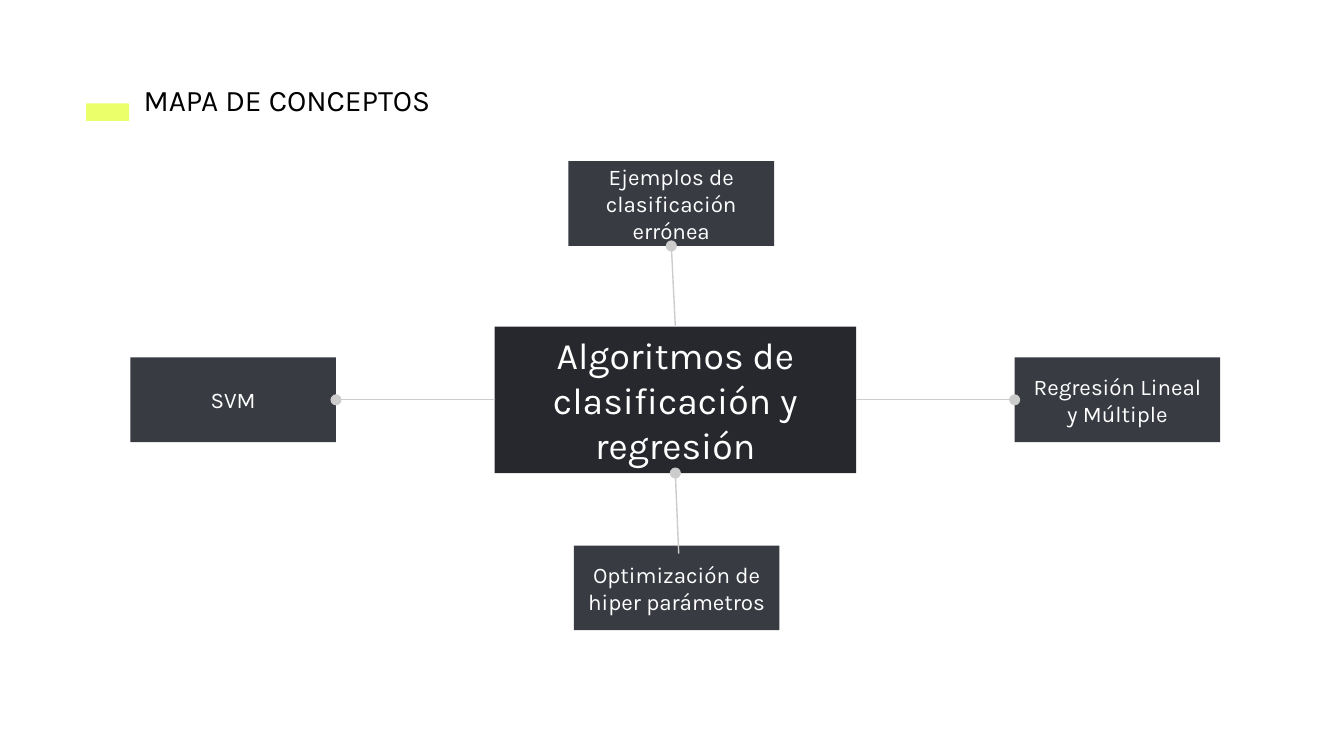
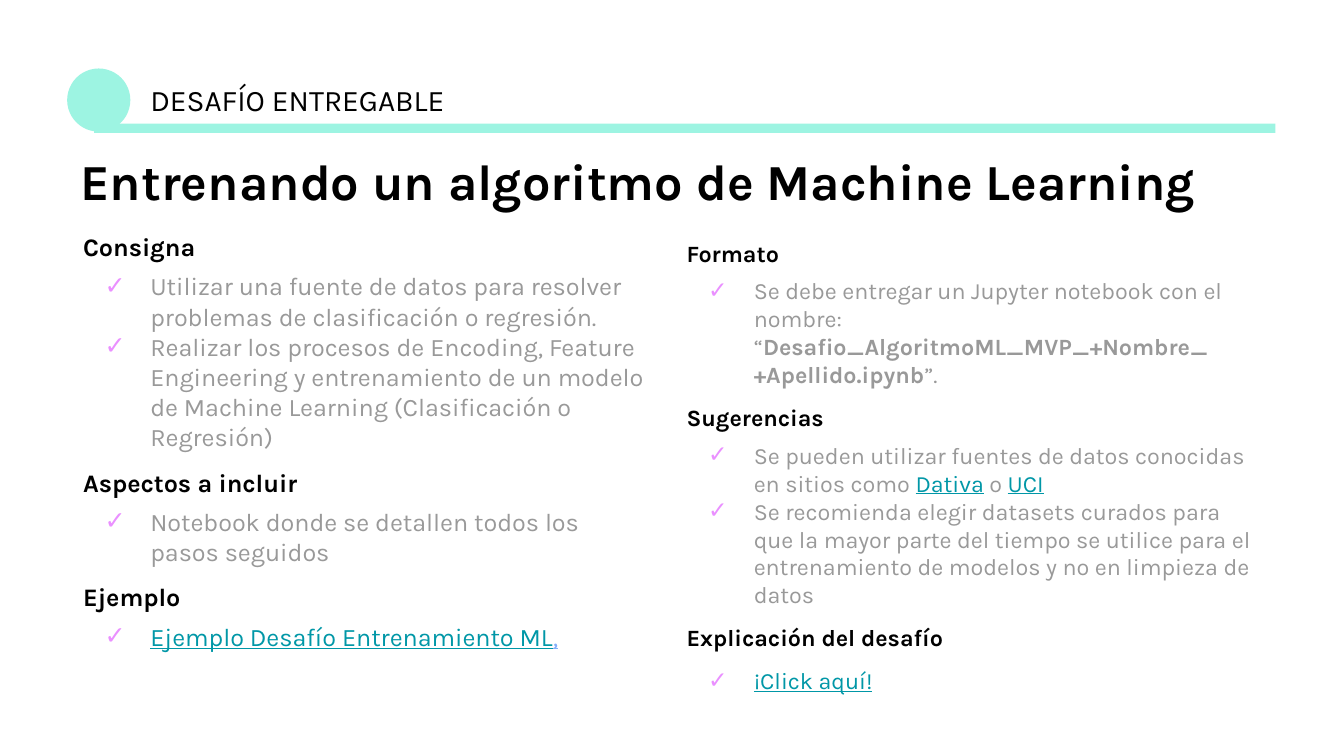
from lxml import etree
from pptx import Presentation
from pptx.dml.color import RGBColor
from pptx.enum.shapes import MSO_CONNECTOR, MSO_SHAPE
from pptx.enum.text import MSO_ANCHOR, MSO_AUTO_SIZE, PP_ALIGN
from pptx.oxml.ns import qn
from pptx.util import Inches, Pt

RECT, OVAL = MSO_SHAPE.RECTANGLE, MSO_SHAPE.OVAL
LINE, ELBOW = MSO_CONNECTOR.STRAIGHT, MSO_CONNECTOR.ELBOW
MIDDLE, CENTER = MSO_ANCHOR.MIDDLE, PP_ALIGN.CENTER
GROW = MSO_AUTO_SIZE.SHAPE_TO_FIT_TEXT
TOP, LEFT, BOTTOM, RIGHT = range(4)

BLACK = RGBColor(0x00, 0x00, 0x00)
WHITE = RGBColor(0xFF, 0xFF, 0xFF)
GRAY = RGBColor(0x99, 0x99, 0x99)
SILVER = RGBColor(0xCC, 0xCC, 0xCC)
DARK = RGBColor(0x27, 0x28, 0x2D)
SLATE = RGBColor(0x39, 0x3B, 0x43)
LIME = RGBColor(0xEA, 0xFF, 0x6A)
MINT = RGBColor(0x9D, 0xF4, 0xE2)
TEAL = RGBColor(0x00, 0x97, 0xA7)
BLUE = RGBColor(0x83, 0xAE, 0xFB)
PINK = RGBColor(0xEA, 0x90, 0xFF)
FONT = "Karla"
WIDE = Inches(10)
HIGH = WIDE * 9 // 16

# Concept map: name -> text, left, top
HUB = ("Algoritmos de clasificación y regresión", 3.68, 2.43)
NODES = {
    "svm": ("SVM", 0.97, 2.66),
    "reg": ("Regresión Lineal y Múltiple", 7.55, 2.66),
    "err": ("Ejemplos de clasificación errónea", 4.23, 1.2),
    "opt": ("Optimización de hiper parámetros", 4.27, 4.06),
}
HUB_SIZE, NODE_SIZE = (2.69, 1.09), (1.53, 0.63)
# kind, start, side, end, side, end that carries the dot
LINKS = [
    (ELBOW, "svm", RIGHT, "hub", LEFT, "headEnd"),
    (ELBOW, "reg", LEFT, "hub", RIGHT, "headEnd"),
    (LINE, "hub", TOP, "err", BOTTOM, "tailEnd"),
    (LINE, None, None, "hub", BOTTOM, "tailEnd"),
]
LOOSE = (5.05, 4.12)

# Challenge: heading, space after it, items; an item is a list of (text, style)
STYLES = {  # colour, bold, underline
    "text": (GRAY, False, False),
    "name": (GRAY, True, False),
    "link": (TEAL, False, True),
    "mark": (BLUE, False, True),
}
TASK = [
    ("Consigna", 5, [
        [("Utilizar una fuente de datos para resolver problemas de "
          "clasificación o regresión.", "text")],
        [("Realizar los procesos de Encoding, Feature Engineering y "
          "entrenamiento de un modelo de Machine Learning "
          "(Clasificación o Regresión)", "text")],
    ]),
    ("Aspectos a incluir", 5, [
        [("Notebook donde se detallen todos los pasos seguidos", "text")],
    ]),
    ("Ejemplo", 5, [
        [("Ejemplo Desafío Entrenamiento ML", "link"), (",", "mark")],
    ]),
]
RULES = [
    ("Formato", 5, [
        [("Se debe entregar un Jupyter notebook con el nombre: “", "text"),
         ("Desafio_AlgoritmoML_MVP_+Nombre_ +Apellido.ipynb", "name"),
         ("”.", "text")],
    ]),
    ("Sugerencias", 5, [
        [("Se pueden utilizar fuentes de datos conocidas en sitios como ",
          "text"),
         ("Dativa", "link"), (" o ", "text"), ("UCI", "link")],
        [("Se recomienda elegir datasets curados para que la mayor parte "
          "del tiempo se utilice para el entrenamiento de modelos y no en "
          "limpieza de datos", "text")],
    ]),
    ("Explicación del desafío", 8, [[("¡Click aquí!", "link")]]),
]


# Shared parts
def style(font, size, color=None, bold=False):
    font.name, font.size, font.bold = FONT, Pt(size), bold
    if color is not None:
        font.color.rgb = color


def block(slide, kind, at, color):
    shape = slide.shapes.add_shape(kind, *map(Inches, at))
    shape.shadow.inherit = False
    shape.fill.solid()
    shape.fill.fore_color.rgb = color
    shape.line.fill.background()
    return shape


def inset(frame):
    frame.word_wrap = True
    frame.margin_left = frame.margin_right = Inches(0.1)
    frame.margin_top = frame.margin_bottom = Inches(0.1)
    return frame


def textbox(slide, at):
    frame = inset(slide.shapes.add_textbox(*map(Inches, at)).text_frame)
    frame.auto_size = GROW
    return frame


def title(slide, text, at, size=16, bold=False):
    para = textbox(slide, at).paragraphs[0]
    para.text = text
    style(para.font, size, BLACK, bold)
    return para


# Concept map parts
def node(slide, text, left, top, size, color, points):
    shape = block(slide, RECT, (left, top, *size), color)
    frame = inset(shape.text_frame)
    frame.vertical_anchor = MIDDLE
    para = frame.paragraphs[0]
    para.text, para.alignment = text, CENTER
    style(para.font, points, WHITE)
    return shape


def link(slide, boxes, kind, start, side, end, port, dot):
    spot = tuple(map(Inches, LOOSE))
    line = slide.shapes.add_connector(kind, *spot, *spot)
    if start:
        line.begin_connect(boxes[start], side)
    line.end_connect(boxes[end], port)
    line.line.color.rgb = SILVER
    line.line.width = Pt(0.75)
    props = line._element.spPr
    tip = etree.SubElement(props.find(qn("a:ln")), qn("a:" + dot))
    tip.set("type", "oval")
    etree.SubElement(props, qn("a:effectLst"))


def draw_map(slide):
    block(slide, RECT, (0.64, 0.77, 0.32, 0.13), LIME)
    title(slide, "MAPA DE CONCEPTOS", (0.97, 0.51, 2.69, 0.47))
    boxes = {"hub": node(slide, *HUB, HUB_SIZE, DARK, 20)}
    for name, spot in NODES.items():
        boxes[name] = node(slide, *spot, NODE_SIZE, SLATE, 12)
    for row in LINKS:
        link(slide, boxes, *row)


# Challenge parts
def bullet(para):
    props = para._p.get_or_add_pPr()
    props.set("marL", str(Inches(0.5)))
    props.set("indent", str(-Inches(0.34)))
    tint = etree.SubElement(props, qn("a:buClr"))
    etree.SubElement(tint, qn("a:srgbClr")).set("val", str(PINK))
    etree.SubElement(props, qn("a:buFont")).set("typeface", FONT)
    etree.SubElement(props, qn("a:buChar")).set("char", "✓")


def column(slide, at, size, parts):
    frame = textbox(slide, at)
    for i, (head, gap, items) in enumerate(parts):
        para = frame.add_paragraph() if i else frame.paragraphs[0]
        para.text = head
        if i:
            para.space_before = Pt(8)
        para.space_after = Pt(gap)
        style(para.font, size, BLACK, True)
        for item in items:
            para = frame.add_paragraph()
            bullet(para)
            style(para.font, size)
            for text, look in item:
                run = para.add_run()
                run.text = text
                color, bold, under = STYLES[look]
                run.font.color.rgb = color
                run.font.bold, run.font.underline = bold, under


def draw_task(slide):
    block(slide, OVAL, (0.5, 0.51, 0.47, 0.47), MINT)
    column(slide, (0.52, 1.62, 4.41, 3.36), 13.5, TASK)
    head = title(slide, "Entrenando un algoritmo de Machine Learning",
                 (0.5, 1.07, 8.7, 0.61), 27, True)
    head.line_spacing = 0.9
    title(slide, "DESAFÍO ENTREGABLE", (1.02, 0.51, 2.69, 0.47))
    column(slide, (5.01, 1.68, 4.41, 4.29), 12.5, RULES)
    block(slide, RECT, (0.7, 0.92, 8.79, 0.07), MINT)


def main():
    deck = Presentation()
    deck.slide_width, deck.slide_height = WIDE, HIGH
    for draw in (draw_map, draw_task):
        draw(deck.slides.add_slide(deck.slide_layouts[6]))
    deck.save("out.pptx")


if __name__ == "__main__":
    main()
